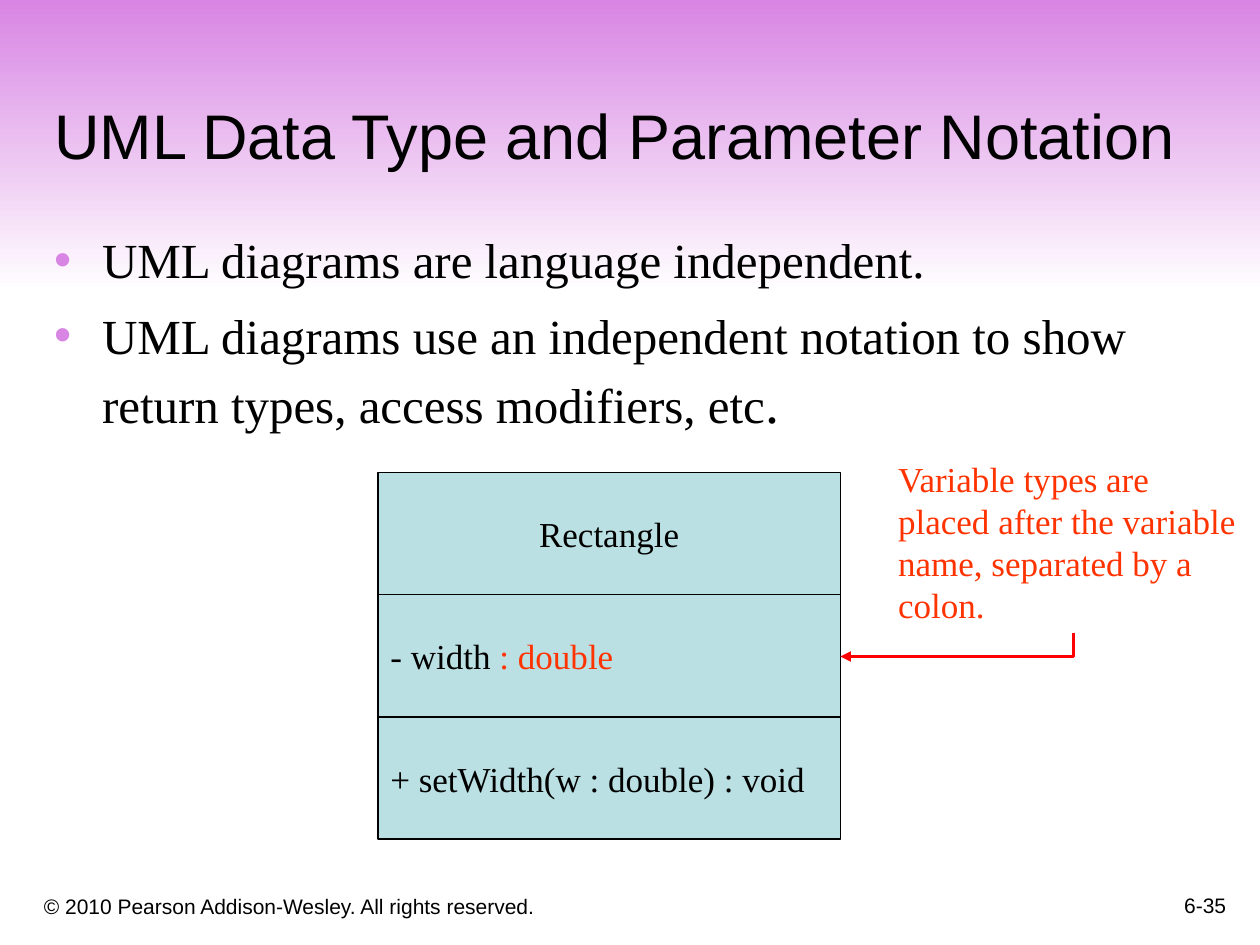
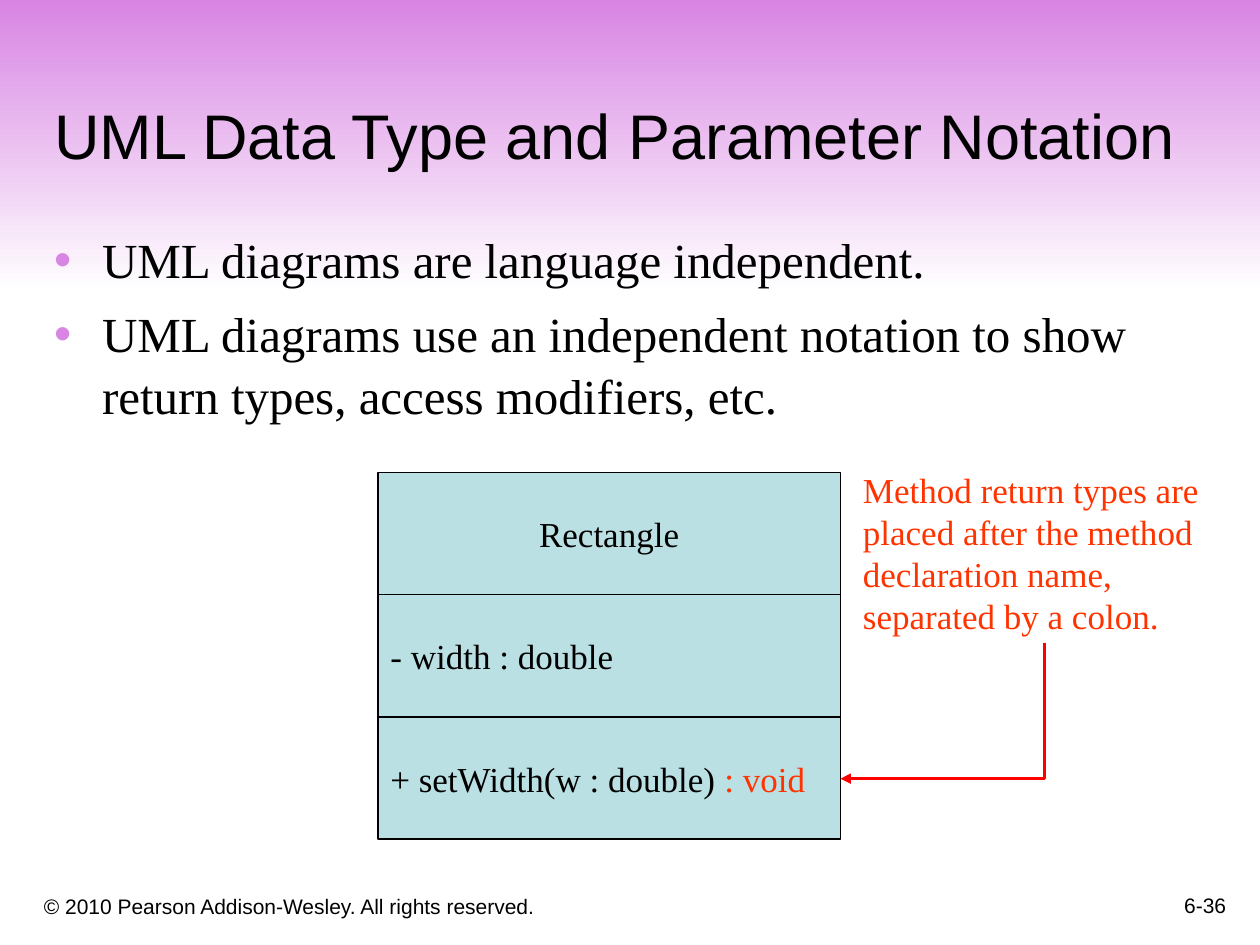
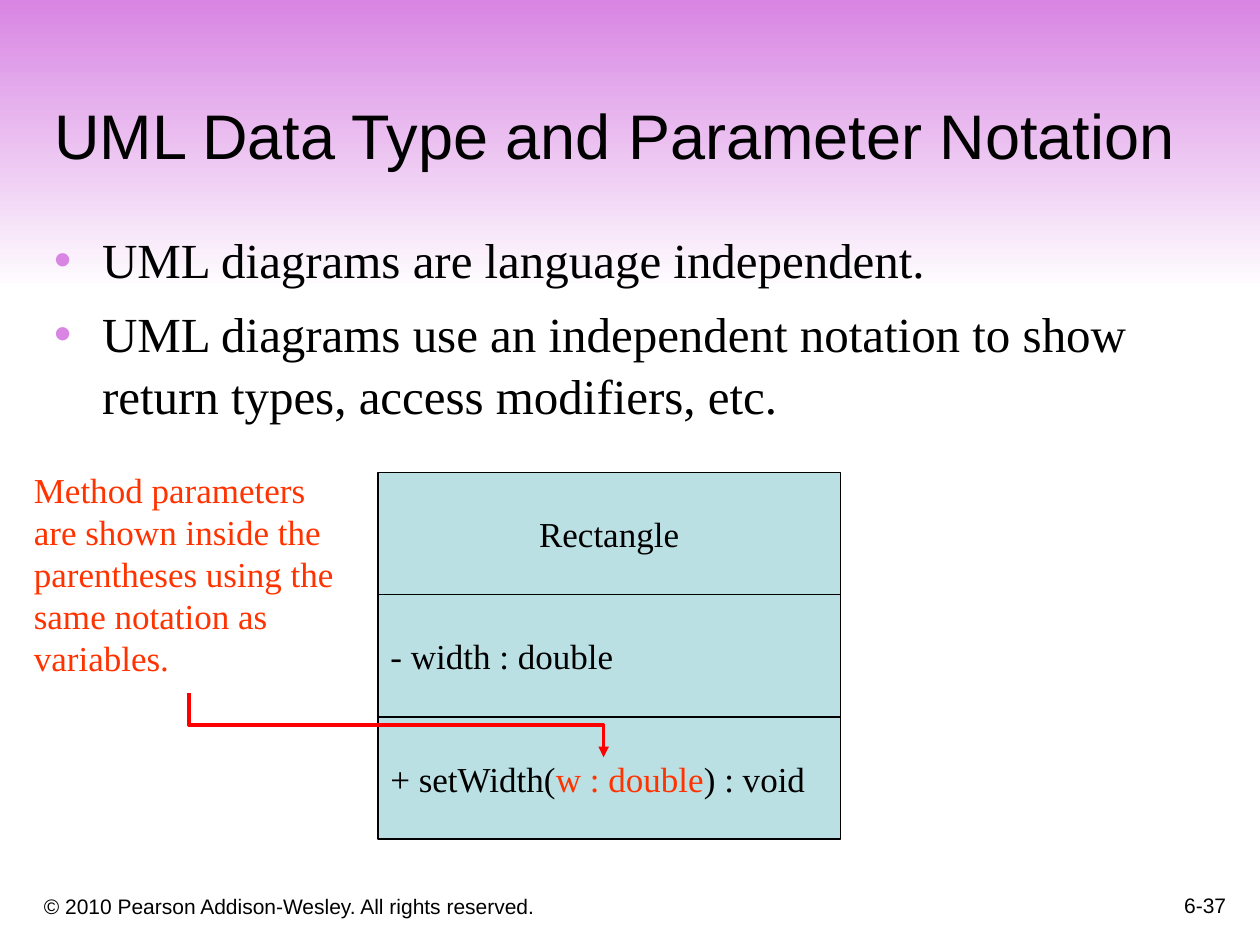
from dataclasses import dataclass

from lxml import etree
from pptx import Presentation
from pptx.dml.color import RGBColor
from pptx.enum import shapes, text
from pptx.oxml import ns
from pptx.util import Inches, Pt

TITLE = "UML Data Type and Parameter Notation"
POINTS = [
    "UML diagrams are language independent.",
    "UML diagrams use an independent notation to show return types, access modifiers, etc.",
]
COPYRIGHT = "© 2010 Pearson Addison-Wesley. All rights reserved."
UML_CLASS = ["Rectangle", "- width : double", "+ setWidth(w : double) : void"]

# "marked" is the row of the class and the part of it that the note explains.
SLIDES = [
    dict(
        page="6-35", marked=(1, ": double"),
        note="Variable types are placed after the variable name, separated by a colon.",
        note_box=(7.03, 3.58, 2.97, 1.44),
        arrow=((8.52, 5.02), (6.67, 5.21)), bends=1,
        large_stop=True,
    ),
    dict(
        page="6-36", marked=(2, ": void"),
        note="Method return types are placed after the method declaration name, "
             "separated by a colon.",
        note_box=(6.75, 3.67, 3.08, 1.44),
        arrow=((8.29, 5.1), (6.67, 6.18)), bends=1,
        large_stop=False,
    ),
    dict(
        page="6-37", marked=(2, "w : double"),
        note="Method parameters are shown inside the parentheses using the same "
             "notation as variables.",
        note_box=(0.17, 3.67, 2.75, 1.77),
        arrow=((1.5, 5.5), (4.79, 6.01)), bends=2,
        large_stop=False,
    ),
]

BAND_BOX = (0, 0, 10, 2.32)
TITLE_BOX = (0.33, 0.33, 9.42, 1.09)
BODY_BOX = (0.33, 1.75, 9.07, 1.94)
COPYRIGHT_BOX = (0.25, 6.92, 6.08, 0.42)
PAGE_BOX = (7.75, 6.83, 2.08, 0.5)
CLASS_LEFT, CLASS_TOP, CLASS_WIDTH, ROW_HEIGHT = 3, 3.75, 3.67, 0.97


@dataclass(frozen=True)
class Theme:
    sans: str = "Arial"
    serif: str = "Times New Roman"
    ink: RGBColor = RGBColor(0, 0, 0)
    band: RGBColor = RGBColor(0xD8, 0x85, 0xE3)
    paper: RGBColor = RGBColor(0xFF, 0xFF, 0xFF)
    cell: RGBColor = RGBColor(0xBB, 0xE0, 0xE3)
    accent: RGBColor = RGBColor(0xFF, 0x33, 0x00)
    arrow: RGBColor = RGBColor(0xFF, 0, 0)
    title_size: int = 36
    body_size: int = 28
    stop_size: int = 32
    diagram_size: int = 20
    footer_size: int = 12


THEME = Theme()


def inches(box):
    return [Inches(length) for length in box]


def style(run, font, size, color=THEME.ink):
    run.font.name, run.font.size = font, Pt(size)
    run.font.color.rgb = color


def place(placeholder, box, anchor):
    placeholder.left, placeholder.top, placeholder.width, placeholder.height = inches(box)
    frame = placeholder.text_frame
    frame.auto_size = text.MSO_AUTO_SIZE.NONE
    frame.vertical_anchor = anchor
    return frame


def add_label(slide, label, box, font, size, color=THEME.ink,
              align=text.PP_ALIGN.LEFT, anchor=text.MSO_ANCHOR.BOTTOM):
    label_box = slide.shapes.add_textbox(*inches(box))
    frame = label_box.text_frame
    frame.text = label
    frame.word_wrap = True
    frame.vertical_anchor = anchor
    frame.paragraphs[0].alignment = align
    style(frame.paragraphs[0].runs[0], font, size, color)
    return label_box


def furnish_layout(layout, slide):
    """Build the band and copyright line on the slide, then hand them to its layout."""
    for unused in list(layout.placeholders)[2:]:
        unused._element.getparent().remove(unused._element)
    band = slide.shapes.add_shape(shapes.MSO_SHAPE.RECTANGLE, *inches(BAND_BOX))
    band.shadow.inherit = False
    band.line.fill.background()
    band.fill.gradient()
    band.fill.gradient_angle = 270
    for stop, color, position in zip(band.fill.gradient_stops, (THEME.band, THEME.paper), (0, 1)):
        stop.color.rgb, stop.position = color, position
    copyright_line = add_label(slide, COPYRIGHT, COPYRIGHT_BOX, THEME.sans, THEME.footer_size)
    for index, shared in enumerate((band, copyright_line), start=2):
        layout.shapes._spTree.insert(index, shared._element)


def add_title(slide):
    frame = place(slide.shapes.title, TITLE_BOX, text.MSO_ANCHOR.BOTTOM)
    frame.text = TITLE
    frame.paragraphs[0].alignment = text.PP_ALIGN.LEFT
    style(frame.paragraphs[0].runs[0], THEME.sans, THEME.title_size)


def add_bullet(paragraph):
    props = paragraph._p.get_or_add_pPr()
    props.set("marL", str(Inches(0.38)))
    props.set("indent", str(-Inches(0.38)))
    color = etree.SubElement(props, ns.qn("a:buClr"))
    etree.SubElement(color, ns.qn("a:srgbClr"), val=str(THEME.band))
    etree.SubElement(props, ns.qn("a:buChar"), char="•")


def add_points(slide, large_stop):
    frame = place(slide.placeholders[1], BODY_BOX, text.MSO_ANCHOR.TOP)
    frame.margin_right = 0
    frame.text = "\n".join(POINTS)
    for index, paragraph in enumerate(frame.paragraphs):
        add_bullet(paragraph)
        paragraph.line_spacing = 1.05
        paragraph.space_before = Pt((8 if large_stop else 7) if index else 0)
        style(paragraph.runs[0], THEME.serif, THEME.body_size)
    if large_stop:
        last = frame.paragraphs[-1]
        last.runs[0].text = POINTS[-1].removesuffix(".")
        stop = last.add_run()
        stop.text = "."
        style(stop, THEME.serif, THEME.stop_size)


def add_class(slide, marked_row, marked_part):
    group = slide.shapes.add_group_shape()
    for index, row in enumerate(UML_CLASS):
        top = CLASS_TOP + index * ROW_HEIGHT
        cell = group.shapes.add_shape(
            shapes.MSO_SHAPE.RECTANGLE, *inches((CLASS_LEFT, top, CLASS_WIDTH, ROW_HEIGHT)))
        cell.shadow.inherit = False
        cell.fill.solid()
        cell.fill.fore_color.rgb = THEME.cell
        cell.line.color.rgb, cell.line.width = THEME.ink, Pt(0.75)
        cell.text_frame.vertical_anchor = text.MSO_ANCHOR.MIDDLE
        paragraph = cell.text_frame.paragraphs[0]
        paragraph.alignment = text.PP_ALIGN.LEFT if index else text.PP_ALIGN.CENTER
        parts = row.partition(marked_part) if index == marked_row else [row]
        for part in filter(None, parts):
            run = paragraph.add_run()
            run.text = part
            marked = index == marked_row and part == marked_part
            style(run, THEME.serif, THEME.diagram_size, THEME.accent if marked else THEME.ink)


def add_arrow(slide, start, end, bends):
    """Draw an elbow that leaves downwards: a turned connector with its sides swapped."""
    (x1, y1), (x2, y2) = start, end
    mid_x, mid_y = (x1 + x2) / 2, (y1 + y2) / 2
    half_width, half_height = (y2 - y1) / 2, abs(x2 - x1) / 2
    rightwards = x2 > x1
    if rightwards:
        half_width = -half_width
    arrow = slide.shapes.add_connector(
        shapes.MSO_CONNECTOR.ELBOW,
        *inches((mid_x - half_width, mid_y - half_height,
                 mid_x + half_width, mid_y + half_height)))
    arrow.line.color.rgb, arrow.line.width = THEME.arrow, Pt(2)
    props = arrow._element.spPr
    props.find(ns.qn("a:xfrm")).set("rot", str((270 if rightwards else 90) * 60000))
    props.find(ns.qn("a:prstGeom")).set("prst", f"bentConnector{bends + 1}")
    etree.SubElement(props.find(ns.qn("a:ln")), ns.qn("a:tailEnd"), type="triangle")
    etree.SubElement(props, ns.qn("a:effectLst"))


def main():
    deck = Presentation()
    deck.slide_width, deck.slide_height = Inches(10), Inches(7.5)
    layout = deck.slide_layouts[1]
    for number, content in enumerate(SLIDES):
        slide = deck.slides.add_slide(layout)
        if number == 0:
            furnish_layout(layout, slide)
        add_label(slide, content["page"], PAGE_BOX, THEME.sans, THEME.footer_size,
                  align=text.PP_ALIGN.RIGHT)
        add_title(slide)
        add_points(slide, content["large_stop"])
        add_class(slide, *content["marked"])
        add_label(slide, content["note"], content["note_box"], THEME.serif,
                  THEME.diagram_size, THEME.accent, anchor=text.MSO_ANCHOR.TOP)
        add_arrow(slide, *content["arrow"], content["bends"])
    deck.save("out.pptx")


if __name__ == "__main__":
    main()
